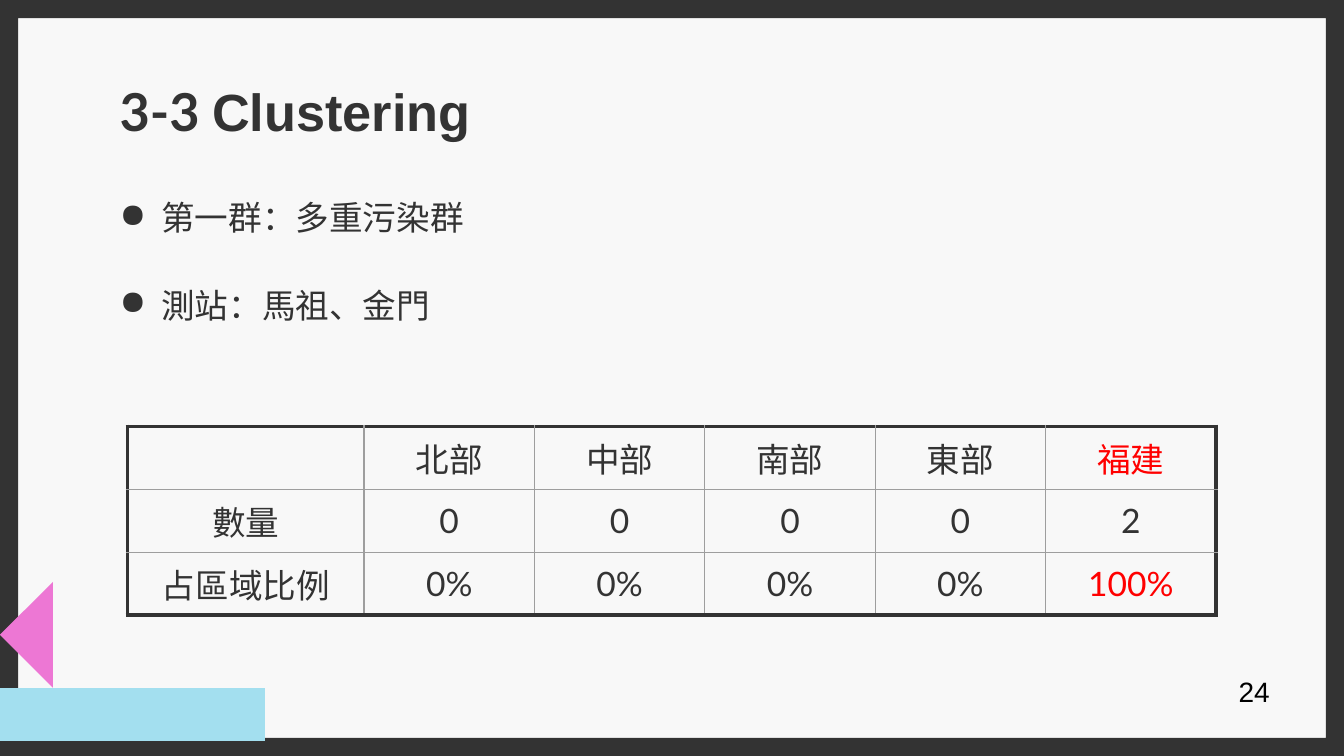
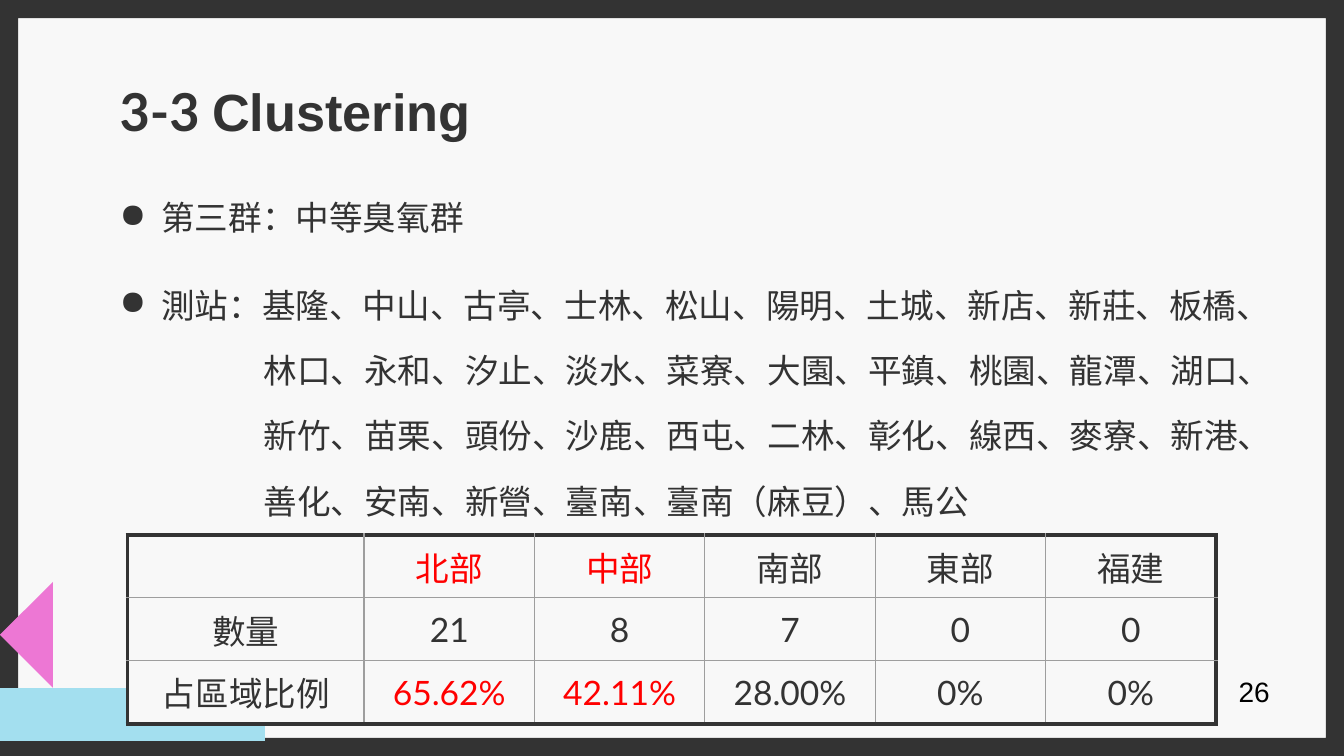
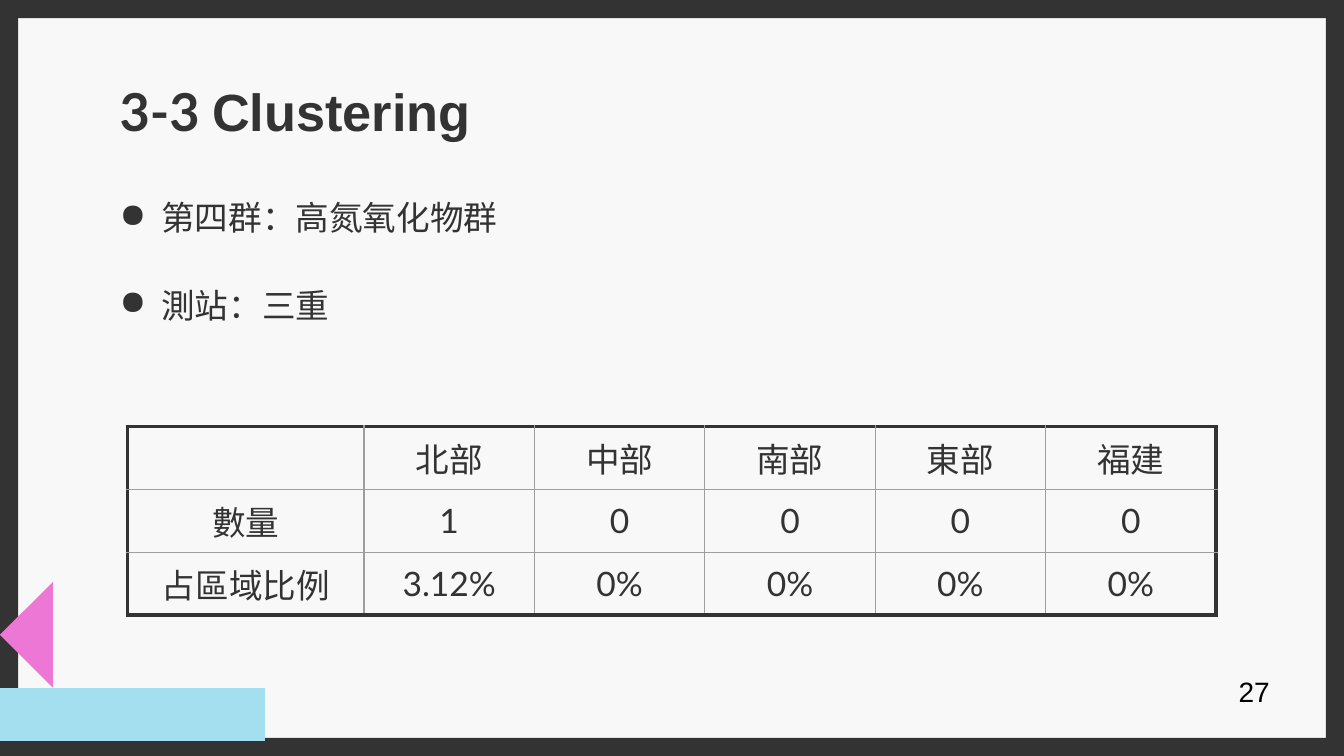
from dataclasses import dataclass

from lxml.etree import SubElement
from pptx import Presentation
from pptx.dml.color import RGBColor
from pptx.enum.shapes import MSO_SHAPE
from pptx.enum.text import MSO_ANCHOR, MSO_AUTO_SIZE, PP_ALIGN
from pptx.oxml.ns import qn
from pptx.slide import Slide
from pptx.table import _Cell as Cell
from pptx.text.text import TextFrame, _Paragraph as Paragraph
from pptx.util import Cm, Length, Pt

INK = RGBColor(0x33, 0x33, 0x33)
PAPER = RGBColor(0xF8, 0xF8, 0xF8)
SKY = RGBColor(0xA3, 0xDF, 0xEF)
PINK = RGBColor(0xED, 0x77, 0xD4)
GRID = RGBColor(0x9E, 0x9E, 0x9E)
RED = RGBColor(0xFF, 0x00, 0x00)
BLACK = RGBColor(0x00, 0x00, 0x00)

MAIN_FONT, LATIN_FONT = "Lato", "Arial"
SLIDE_WIDTH, SLIDE_HEIGHT = Cm(25.4), Cm(14.29)
TEXT_LEFT = Cm(2.01)
TITLE_WIDTH = Cm(21.41)
INSET = Cm(0.25)
BULLET_INDENT, STATION_INDENT = Cm(0.79), Cm(2.72)
LABEL_WIDTH, REGION_WIDTH, ROW_HEIGHT = Cm(4.47), Cm(3.22), Cm(1.19)
THIN, HEAVY = Pt(0.75), Pt(2.25)

TITLE_PARTS = (("3-3 ", MAIN_FONT), ("Clustering", LATIN_FONT))
REGIONS = ("北部", "中部", "南部", "東部", "福建")


@dataclass(frozen=True)
class Ornament:
    colour: RGBColor
    corners: tuple[tuple[float, float], ...]  # in centimetres


@dataclass(frozen=True)
class Cluster:
    page: int
    group: str
    stations: str
    counts: tuple[str, ...]
    shares: tuple[str, ...]
    highlighted: tuple[str, ...] = ()
    more_stations: str = ""
    body_width: Length = Cm(22.86)
    table_top: Length = Cm(8.06)


ORNAMENTS = (
    Ornament(SKY, ((5.13, 13.64), (0, 13.64), (0.3, 12.98), (5.44, 12.98))),
    Ornament(PINK, ((0, 11.92), (0.65, 11.27), (1.3, 11.92), (0.65, 12.57))),
)

CLUSTERS = (
    Cluster(
        24, "第一群：多重污染群", "測站：馬祖、金門",
        counts=("0", "0", "0", "0", "2"),
        shares=("0%", "0%", "0%", "0%", "100%"),
        highlighted=("福建",),
        body_width=TITLE_WIDTH,
    ),
    Cluster(
        26, "第三群：中等臭氧群",
        "測站：基隆、中山、古亭、士林、松山、陽明、土城、新店、新莊、板橋、",
        counts=("21", "8", "7", "0", "0"),
        shares=("65.62%", "42.11%", "28.00%", "0%", "0%"),
        highlighted=("北部", "中部"),
        more_stations="林口、永和、汐止、淡水、菜寮、大園、平鎮、桃園、龍潭、湖口、"
                      "新竹、苗栗、頭份、沙鹿、西屯、二林、彰化、線西、麥寮、新港、"
                      "善化、安南、新營、臺南、臺南（麻豆）、馬公",
        table_top=Cm(10.11),
    ),
    Cluster(
        27, "第四群：高氮氧化物群", "測站：三重",
        counts=("1", "0", "0", "0", "0"),
        shares=("3.12%", "0%", "0%", "0%", "0%"),
    ),
)


def style_runs(paragraph: Paragraph, size: int, colour: RGBColor = INK,
               font: str = MAIN_FONT) -> None:
    for run in paragraph.runs:
        run.font.size = Pt(size)
        run.font.name = font
        run.font.color.rgb = colour


def set_insets(frame: TextFrame) -> None:
    frame.margin_left = frame.margin_right = INSET
    frame.margin_top = frame.margin_bottom = INSET


def draw_backdrop(slide: Slide) -> None:
    slide.background.fill.solid()
    slide.background.fill.fore_color.rgb = PAPER
    border = slide.shapes.add_shape(MSO_SHAPE.FRAME, 0, 0, SLIDE_WIDTH, SLIDE_HEIGHT)
    border.adjustments[0] = 0.024
    painted = [(border, INK)]
    for ornament in ORNAMENTS:
        start, *others = ornament.corners
        builder = slide.shapes.build_freeform(*start, scale=Cm(1))
        builder.add_line_segments(others, close=True)
        painted.append((builder.convert_to_shape(), ornament.colour))
    for shape, colour in painted:
        shape.shadow.inherit = False
        shape.fill.solid()
        shape.fill.fore_color.rgb = colour
        shape.line.fill.background()


def add_page_number(slide: Slide, page: int) -> None:
    frame = slide.shapes.add_textbox(Cm(23.16), Cm(12.62), Cm(1.17), Cm(0.89)).text_frame
    frame.word_wrap = False
    frame.auto_size = MSO_AUTO_SIZE.SHAPE_TO_FIT_TEXT
    frame.text = str(page)
    style_runs(frame.paragraphs[0], 15, BLACK, LATIN_FONT)


def fill_title(slide: Slide) -> None:
    title = slide.shapes.title
    title.left, title.top = TEXT_LEFT, Cm(1.24)
    title.width, title.height = TITLE_WIDTH, Cm(1.7)
    frame = title.text_frame
    frame.auto_size = MSO_AUTO_SIZE.NONE
    frame.vertical_anchor = MSO_ANCHOR.MIDDLE
    set_insets(frame)
    heading = frame.paragraphs[0]
    heading.alignment = PP_ALIGN.LEFT
    for text, font in TITLE_PARTS:
        run = heading.add_run()
        run.text = text
        run.font.name = font
        run.font.size = Pt(28)
        run.font.bold = True
        run.font.color.rgb = INK


def add_bullet(paragraph: Paragraph) -> None:
    properties = paragraph._p.get_or_add_pPr()
    properties.set("marL", str(BULLET_INDENT))
    properties.set("indent", str(-BULLET_INDENT))
    colour = SubElement(properties, qn("a:buClr"))
    SubElement(colour, qn("a:srgbClr"), val=str(INK))
    SubElement(properties, qn("a:buChar"), char="●")


def add_body(slide: Slide, cluster: Cluster) -> None:
    frame = slide.shapes.add_textbox(
        TEXT_LEFT, Cm(3), cluster.body_width, Cm(9.4)).text_frame
    frame.word_wrap = True
    set_insets(frame)
    group = frame.paragraphs[0]
    group.text = cluster.group
    stations = frame.add_paragraph()
    stations.text = cluster.stations
    for item in (group, stations):
        add_bullet(item)
    group.space_after = Pt(12)
    if cluster.more_stations:
        continuation = frame.add_paragraph()
        continuation.text = cluster.more_stations
        continuation._p.get_or_add_pPr().set("marL", str(STATION_INDENT))
    for paragraph in frame.paragraphs:
        paragraph.line_spacing = Pt(35)
        style_runs(paragraph, 18)


def set_borders(cell: Cell, outer_edges: dict[str, bool]) -> None:
    """Draw heavy dark lines on the table's outer edges and thin grey ones inside."""
    properties = cell._tc.get_or_add_tcPr()
    for edge, is_outer in outer_edges.items():
        line = SubElement(properties, qn(f"a:ln{edge}"),
                          w=str(HEAVY if is_outer else THIN))
        fill = SubElement(line, qn("a:solidFill"))
        SubElement(fill, qn("a:srgbClr"), val=str(INK if is_outer else GRID))


def add_region_table(slide: Slide, cluster: Cluster) -> None:
    rows = (("", *REGIONS), ("數量", *cluster.counts), ("占區域比例", *cluster.shares))
    widths = [LABEL_WIDTH] + [REGION_WIDTH] * len(REGIONS)
    table = slide.shapes.add_table(
        len(rows), len(widths), Cm(2.41), cluster.table_top,
        sum(widths), ROW_HEIGHT * len(rows)).table
    table.first_row = table.horz_banding = False
    for column, width in zip(table.columns, widths):
        column.width = width
    last_row, last_column = len(rows) - 1, len(widths) - 1
    for r, values in enumerate(rows):
        table.rows[r].height = ROW_HEIGHT
        for c, value in enumerate(values):
            cell = table.cell(r, c)
            set_borders(cell, {"L": c == 0, "R": c == last_column,
                               "T": r == 0, "B": r == last_row})
            cell.fill.solid()
            cell.fill.fore_color.rgb = PAPER
            cell.vertical_anchor = MSO_ANCHOR.MIDDLE
            cell.text_frame.text = value
            paragraph = cell.text_frame.paragraphs[0]
            paragraph.alignment = PP_ALIGN.CENTER
            is_red = r in (0, last_row) and rows[0][c] in cluster.highlighted
            style_runs(paragraph, 18, RED if is_red else INK)


def main() -> None:
    deck = Presentation()
    deck.slide_width, deck.slide_height = SLIDE_WIDTH, SLIDE_HEIGHT
    title_only = deck.slide_layouts.get_by_name("Title Only")
    for cluster in CLUSTERS:
        slide = deck.slides.add_slide(title_only)
        draw_backdrop(slide)
        add_page_number(slide, cluster.page)
        fill_title(slide)
        add_body(slide, cluster)
        add_region_table(slide, cluster)
    deck.save("out.pptx")


if __name__ == "__main__":
    main()
